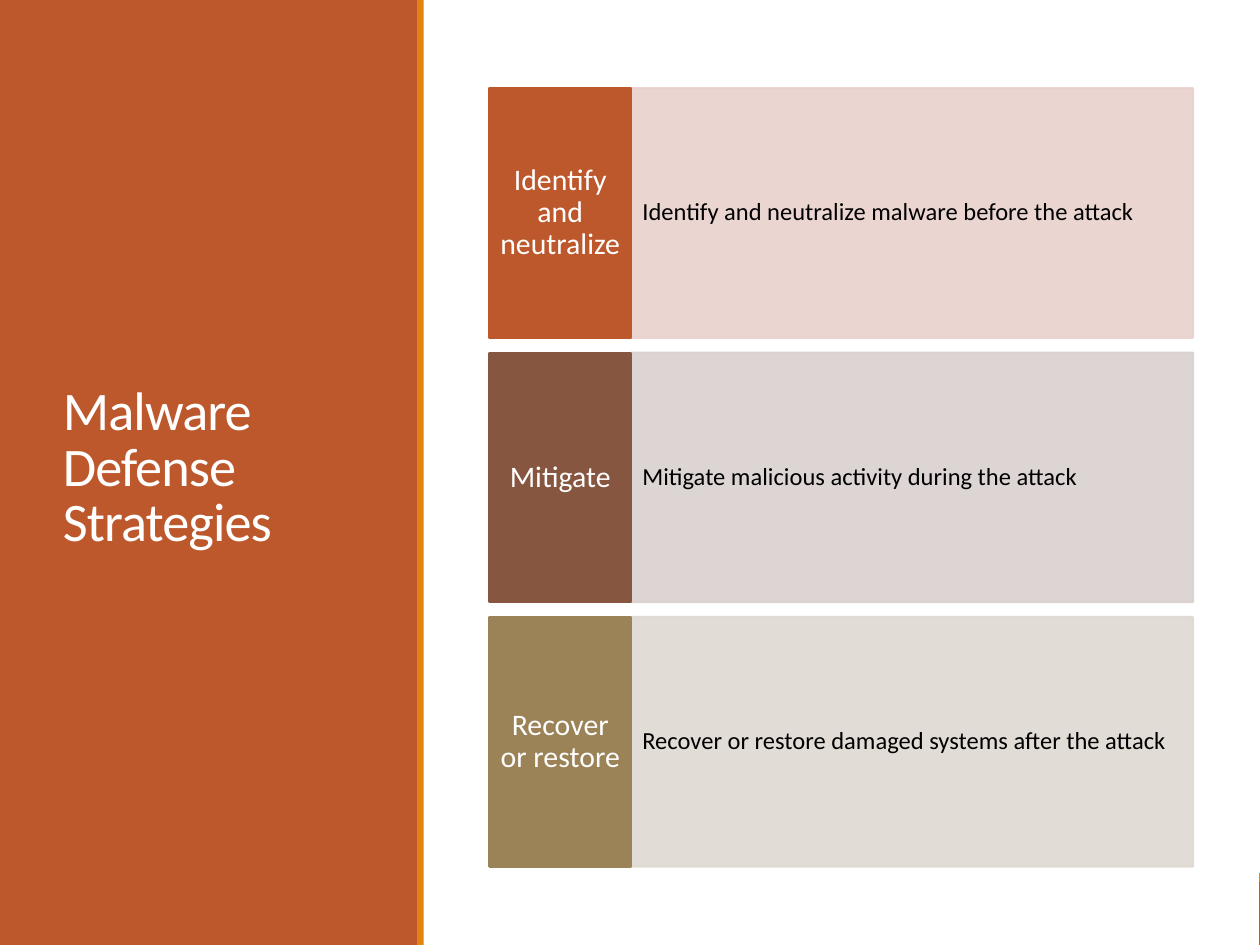
"""Build the slide on malware defense strategies."""
from lxml import etree
from pptx import Presentation
from pptx.dml.color import RGBColor
from pptx.enum.shapes import MSO_SHAPE
from pptx.enum.text import MSO_ANCHOR, PP_ALIGN
from pptx.oxml.ns import qn
from pptx.util import Cm, Pt

RECTANGLE = MSO_SHAPE.RECTANGLE
MIDDLE = MSO_ANCHOR.MIDDLE
LEFT, CENTER = PP_ALIGN.LEFT, PP_ALIGN.CENTER

COLORS = {
    "white": "FFFFFF", "black": "000000", "rust": "BD582C", "orange": "E48312",
    "brown": "865640", "olive": "9B8357",
    "pale rust": "E8D1CD", "pale brown": "D9D1CF", "pale olive": "DED9D1",
}


def add_box(left, top, width, height, color, outlined=False, opacity=100):
    shape = slide.shapes.add_shape(RECTANGLE, Cm(left), Cm(top), Cm(width), Cm(height))
    shape.shadow.inherit = False
    shape.fill.solid()
    shape.fill.fore_color.rgb = RGBColor.from_string(COLORS[color])
    if outlined:
        shape.line.color.rgb = RGBColor.from_string(COLORS[color])
        shape.line.width = Pt(1.25)
    else:
        shape.line.fill.background()
    if opacity < 100:
        for color_element in shape._element.spPr.iter(qn("a:srgbClr")):
            etree.SubElement(color_element, qn("a:alpha"), val=str(opacity * 1000))
    return shape


def write_text(text, shape, size, color, align=LEFT, line_spacing=0.9,
               margin_x=0.25, margin_y=0.13, letter_spacing=0):
    frame = shape.text_frame
    frame.word_wrap = True
    frame.vertical_anchor = MIDDLE
    frame.margin_left = frame.margin_right = Cm(margin_x)
    frame.margin_top = frame.margin_bottom = Cm(margin_y)
    paragraph = frame.paragraphs[0]
    paragraph.alignment = align
    paragraph.line_spacing = line_spacing
    run = paragraph.add_run()
    run.text = text
    run.font.name = "Calibri"
    run.font.size = Pt(size)
    run.font.color.rgb = RGBColor.from_string(COLORS[color])
    if letter_spacing:
        run._r.get_or_add_rPr().set("spc", str(int(letter_spacing * 100)))


presentation = Presentation()
presentation.slide_width = Cm(25.4)
presentation.slide_height = Cm(19.05)
slide = presentation.slides.add_slide(presentation.slide_layouts[6])

add_box(0, 17.78, 25.4, 1.27, "rust")
add_box(0, 17.6, 25.4, 0.18, "orange")
add_box(0, 0, 25.38, 19.05, "white")
add_box(0, 0, 8.43, 19.05, "rust")

title = slide.shapes.add_textbox(Cm(1.02), Cm(1.45), Cm(6.43), Cm(16.03))
write_text("Malware Defense Strategies", title, size=31, color="white",
           line_spacing=0.85, letter_spacing=-0.5)
add_box(8.41, 0, 0.13, 19.05, "orange")

strategies = [
    ("Identify and neutralize", "Identify and neutralize malware before the attack", "rust"),
    ("Mitigate", "Mitigate malicious activity during the attack", "brown"),
    ("Recover or restore", "Recover or restore damaged systems after the attack", "olive"),
]
first_top, row_height, row_pitch = 1.78, 5.03, 5.33
label_left, label_width, detail_width = 9.87, 2.85, 11.33

for index, (label, detail, color) in enumerate(strategies):
    top = first_top + index * row_pitch
    detail_box = add_box(label_left + label_width, top, detail_width, row_height,
                         "pale " + color, outlined=True, opacity=90)
    write_text(detail, detail_box, size=14, color="black", margin_x=0.23, margin_y=1.27)
    label_box = add_box(label_left, top, label_width, row_height, color, outlined=True)
    write_text(label, label_box, size=17, color="white", align=CENTER,
               margin_x=0.15, margin_y=0.51)

presentation.save("out.pptx")
